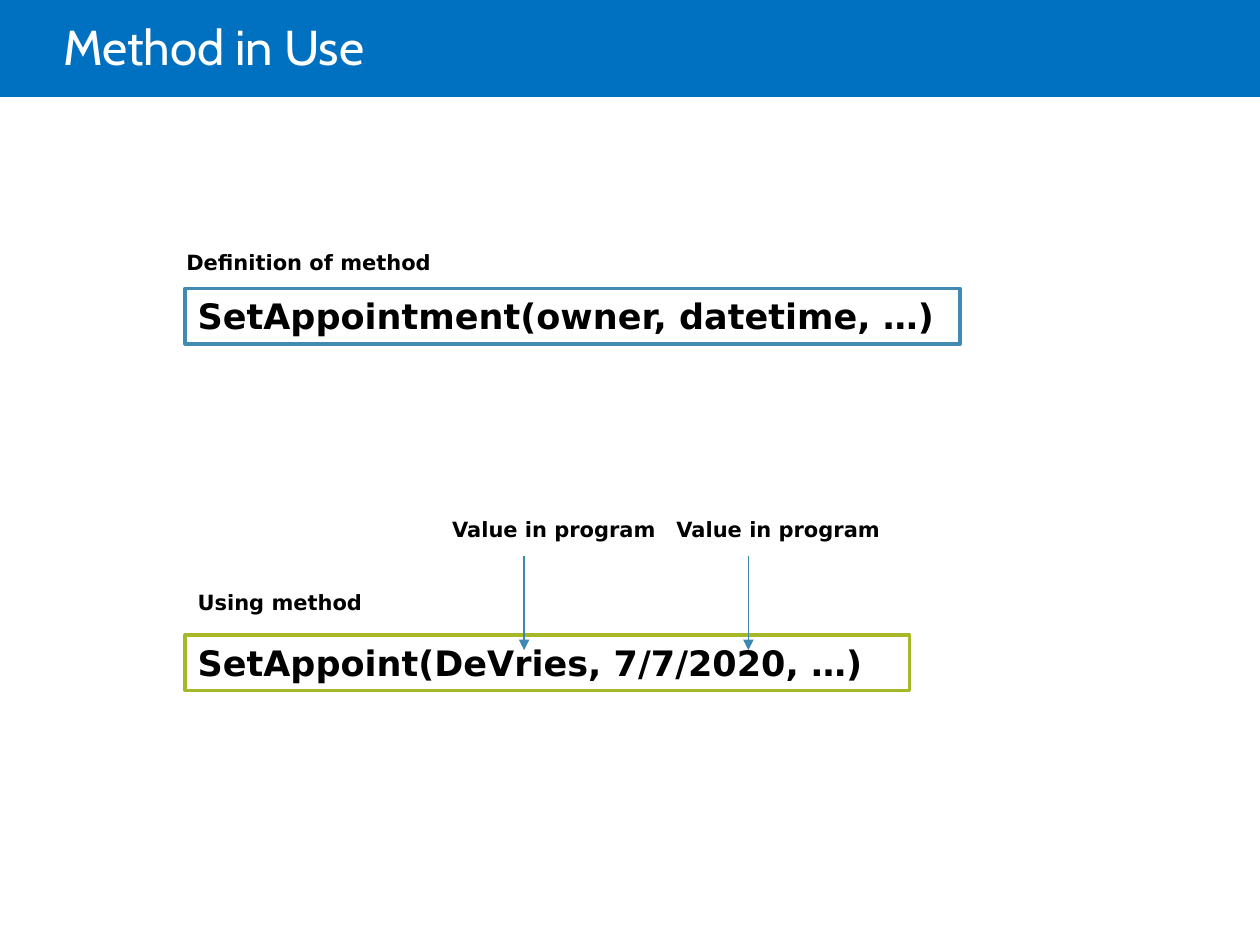
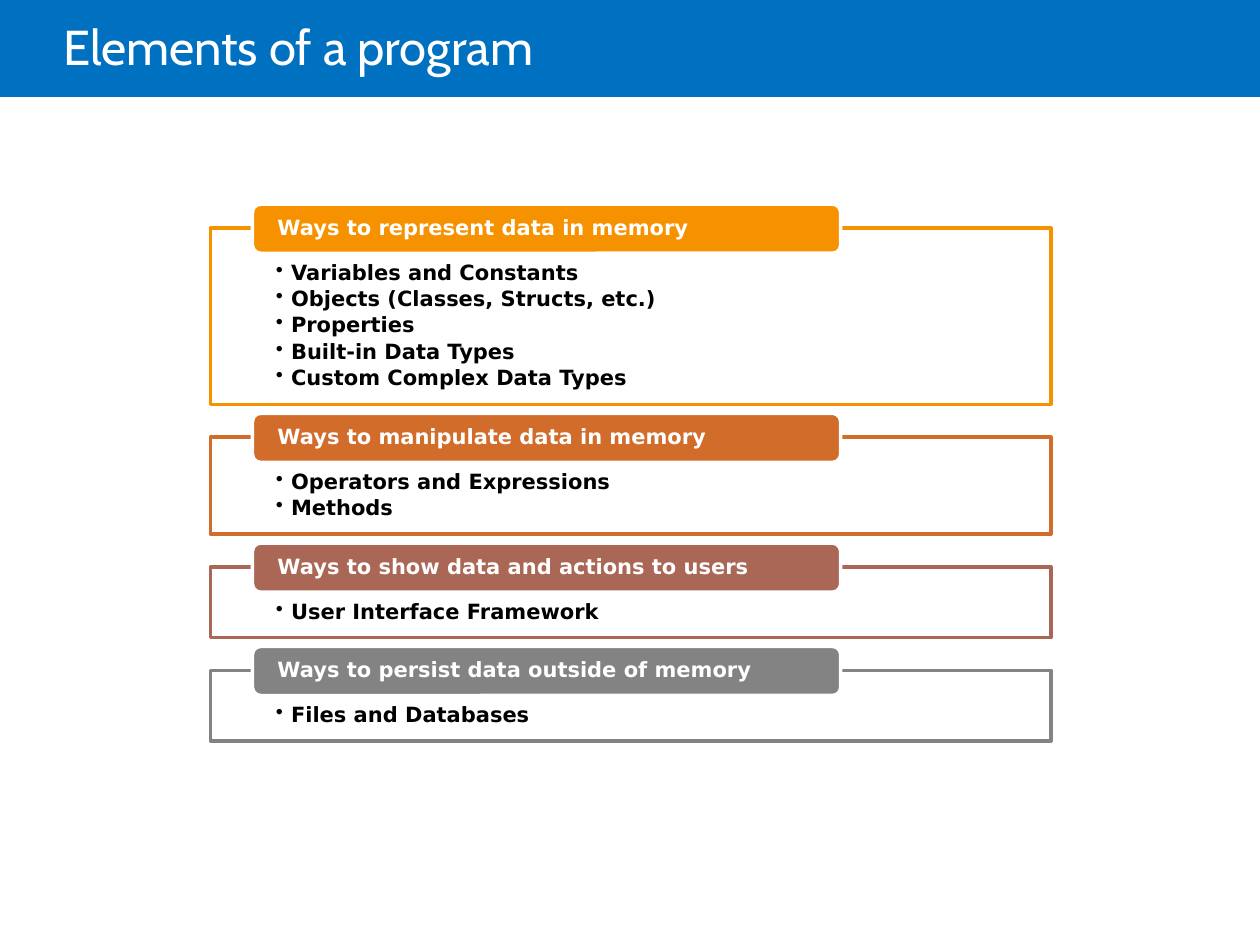
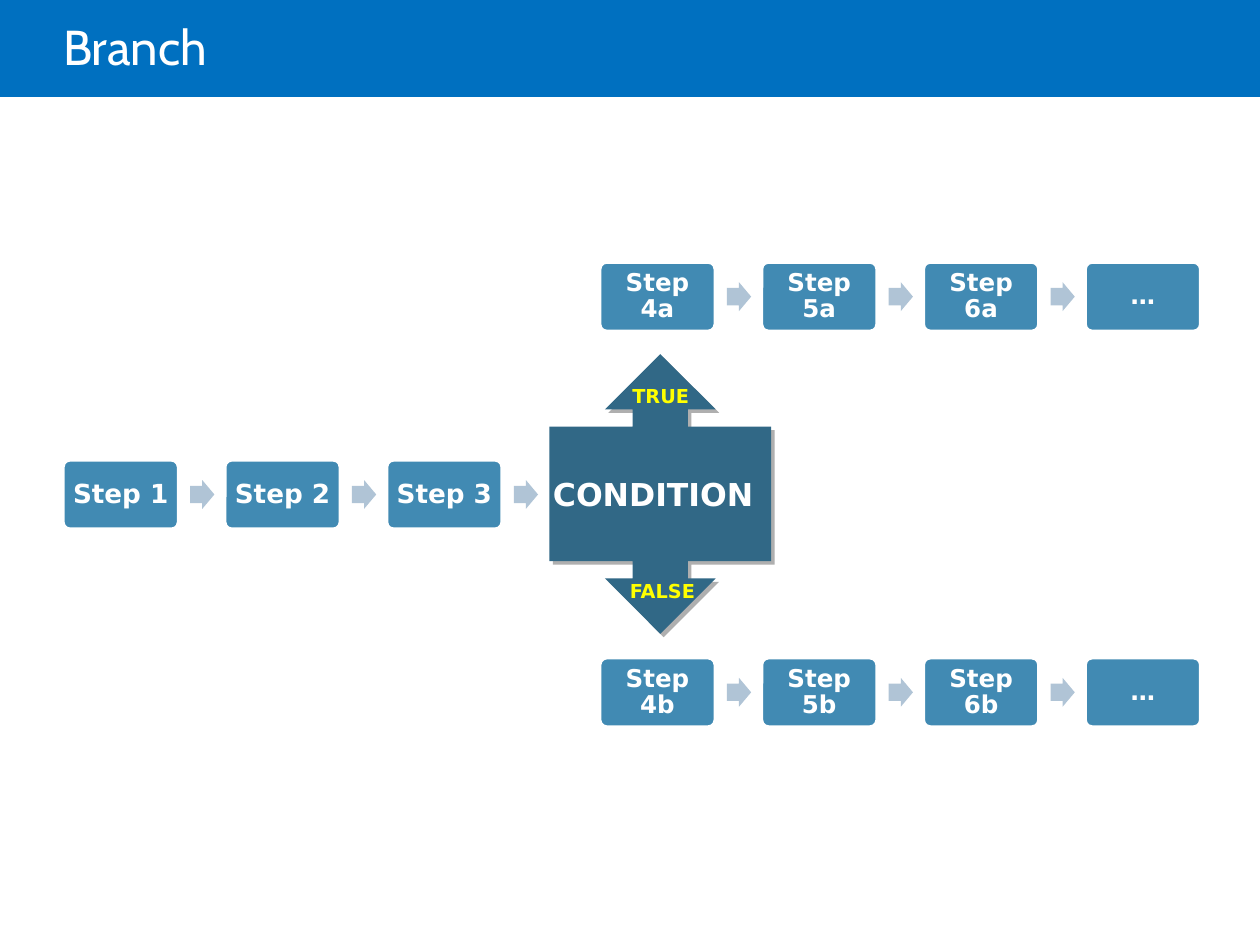
from typing import NamedTuple

from lxml.etree import SubElement
from pptx import Presentation
from pptx.dml.color import RGBColor
from pptx.enum.shapes import MSO_CONNECTOR, MSO_SHAPE
from pptx.enum.text import MSO_ANCHOR, MSO_AUTO_SIZE, PP_ALIGN
from pptx.oxml.ns import qn
from pptx.util import Inches, Pt

# The slide is a grid of 10 columns by 7.5 rows, one inch each.
COLUMNS, ROWS = 10, 7.5

TITLE_FONT, BODY_FONT = "Cabin", "DejaVu Sans"
WHITE = RGBColor(0xFF, 0xFF, 0xFF)
BLACK = RGBColor(0x00, 0x00, 0x00)
YELLOW = RGBColor(0xFF, 0xFF, 0x00)
BAND_BLUE = RGBColor(0x00, 0x70, 0xC0)
STEEL = RGBColor(0x41, 0x8A, 0xB3)
ARROW_LINE = RGBColor(0x3D, 0x88, 0xB2)
PALE_STEEL = RGBColor(0xB0, 0xC4, 0xD6)
DARK_STEEL = RGBColor(0x31, 0x68, 0x86)
GREEN = RGBColor(0xA6, 0xB7, 0x27)
ORANGE = RGBColor(0xF6, 0x92, 0x00)
RUST = RGBColor(0xD1, 0x6C, 0x2A)
BROWN = RGBColor(0xAB, 0x67, 0x56)
GRAY = RGBColor(0x83, 0x83, 0x83)
SHADOW_GRAY = "AFAFAF"

DEFAULT_INSETS = (0.1, 0.05, 0.1, 0.05)

ELEMENT_SECTIONS = [
    ("Ways to represent data in memory", ORANGE,
     ["Variables and Constants", "Objects (Classes, Structs, etc.)", "Properties",
      "Built-in Data Types", "Custom Complex Data Types"]),
    ("Ways to manipulate data in memory", RUST, ["Operators and Expressions", "Methods"]),
    ("Ways to show data and actions to users", BROWN, ["User Interface Framework"]),
    ("Ways to persist data outside of memory", GRAY, ["Files and Databases"]),
]


class Box(NamedTuple):
    left: float
    top: float
    width: float
    height: float

    def inner(self, left, top, width, height):
        """Return a box whose corner is measured from this one's."""
        return Box(self.left + left, self.top + top, width, height)

    def lengths(self):
        return [Inches(value) for value in self]


def add_preset(slide, preset, box, fill, line=None):
    shape = slide.shapes.add_shape(preset, *box.lengths())
    shape.shadow.inherit = False
    shape.fill.solid()
    shape.fill.fore_color.rgb = fill
    if line is None:
        shape.line.fill.background()
    else:
        shape.line.color.rgb = line
        shape.line.width = Pt(2)
    return shape


def add_bullet(paragraph):
    paragraph.level = 1
    properties = paragraph._p.get_or_add_pPr()
    properties.set("marL", str(Inches(0.12)))
    properties.set("indent", str(Inches(-0.12)))
    SubElement(properties, qn("a:buChar"), char="•")


def write(shape, lines, size, color, font=BODY_FONT, bold=True, align=PP_ALIGN.LEFT,
          anchor=MSO_ANCHOR.TOP, insets=DEFAULT_INSETS, spacing=None, bulleted=False):
    frame = shape.text_frame
    frame.word_wrap = True
    frame.vertical_anchor = anchor
    (frame.margin_left, frame.margin_top,
     frame.margin_right, frame.margin_bottom) = [Inches(inset) for inset in insets]
    frame.text = "\n".join(lines)
    for paragraph in frame.paragraphs:
        paragraph.alignment = align
        if spacing:
            paragraph.line_spacing = spacing
        if bulleted:
            paragraph.space_after = Pt(2.1)
            add_bullet(paragraph)
        for run in paragraph.runs:
            run.font.name = font
            run.font.size = Pt(size)
            run.font.bold = bold
            run.font.color.rgb = color


def write_unwrapped(shape, text, size, color):
    write(shape, [text], size, color)
    shape.text_frame.word_wrap = False
    shape.text_frame.auto_size = MSO_AUTO_SIZE.SHAPE_TO_FIT_TEXT


def add_label(slide, box, text, size=12, color=BLACK):
    write_unwrapped(slide.shapes.add_textbox(*box.lengths()), text, size, color)


def add_down_arrow(slide, box):
    """Draw an arrow down the left edge of the box."""
    left, top, _, height = box.lengths()
    arrow = slide.shapes.add_connector(MSO_CONNECTOR.STRAIGHT, left, top, left, top + height)
    arrow.line.color.rgb = ARROW_LINE
    arrow.line.width = Pt(0.75)
    properties = arrow._element.spPr
    SubElement(properties.find(qn("a:ln")), qn("a:tailEnd"), type="triangle")
    SubElement(properties, qn("a:effectLst"))


def add_titled_slide(presentation, title):
    slide = presentation.slides.add_slide(presentation.slide_layouts[5])
    placeholder = slide.shapes.title
    (placeholder.left, placeholder.top,
     placeholder.width, placeholder.height) = Box(0.5, 0, 8.5, 0.81).lengths()
    write(placeholder, [title], 28, WHITE, font=TITLE_FONT, bold=False,
          anchor=MSO_ANCHOR.MIDDLE, insets=(0, 0.05, 0.1, 0.05), spacing=0.85)
    placeholder.text_frame.auto_size = MSO_AUTO_SIZE.NONE
    return slide


def move_band_to_layout(slide):
    """Draw the title band once, in the layout that all slides share."""
    band = add_preset(slide, MSO_SHAPE.RECTANGLE, Box(0, 0, COLUMNS, 0.77), BAND_BLUE)
    slide.slide_layout.shapes.element.insert(2, band.element)


def add_signature(slide, box, text, line):
    shape = add_preset(slide, MSO_SHAPE.RECTANGLE, box, WHITE, line)
    write_unwrapped(shape, text, 20, BLACK)


def add_method_definition(slide, box):
    add_signature(slide, box, "SetAppointment(owner, datetime, …)", STEEL)
    add_label(slide, box.inner(-0.09, -0.36, 2.15, 0.5), "Definition of method")


def add_method_use(slide, box):
    add_label(slide, box.inner(0, -0.41, 1.51, 0.5), "Using method")
    add_signature(slide, box, "SetAppoint(DeVries, 7/7/2020, …)", GREEN)
    for argument in range(2):
        value = box.inner(2.02 + 1.78 * argument, -0.99, 1.83, 0.3)
        add_down_arrow(slide, value.inner(0.67, 0.36, 0, 0.75))
        add_label(slide, value, "Value in program")


def add_section(slide, box, heading, color, items):
    frame = add_preset(slide, MSO_SHAPE.RECTANGLE, box, WHITE, color)
    write(frame, items, 12, BLACK, insets=(0.52, 0.27, 0.52, 0.09), spacing=0.9, bulleted=True)
    tab_box = box.inner(0.05 * box.width, -0.19, 0.7 * box.width, 0.39)
    tab = add_preset(slide, MSO_SHAPE.ROUNDED_RECTANGLE, tab_box, color, WHITE)
    write(tab, [heading], 12, WHITE, anchor=MSO_ANCHOR.MIDDLE,
          insets=(0.18, 0, 0.18, 0), spacing=0.9)


def add_sections(slide, box):
    top = 0
    for heading, color, items in ELEMENT_SECTIONS:
        height = 0.35 + 0.21 * len(items)
        add_section(slide, box.inner(0, top, box.width, height), heading, color, items)
        top += height + 0.26


def add_step(slide, box, text, size):
    step = add_preset(slide, MSO_SHAPE.ROUNDED_RECTANGLE, box, STEEL, WHITE)
    step.adjustments[0] = 0.1
    write(step, [text], size, WHITE, align=PP_ALIGN.CENTER, anchor=MSO_ANCHOR.MIDDLE,
          insets=(0.06,) * 4, spacing=0.9)


def add_lane(slide, box, steps, size, arrow_count=3):
    """Place up to four steps with gaps of 0.4 step widths and an arrow in each gap."""
    width = box.width / (4 + 3 * 0.4)
    arrow_height = 0.25 * width
    for index, text in enumerate(steps):
        cell = box.inner(1.4 * width * index, 0, width, box.height)
        add_step(slide, cell, text, size)
        if index < arrow_count:
            arrow_box = cell.inner(1.1 * width, (box.height - arrow_height) / 2,
                                   0.21 * width, arrow_height)
            arrow = add_preset(slide, MSO_SHAPE.RIGHT_ARROW, arrow_box, PALE_STEEL)
            arrow.adjustments[0] = 0.6


def add_hard_shadow(shape):
    effects = shape._element.spPr.find(qn("a:effectLst"))
    shadow = SubElement(effects, qn("a:outerShdw"), dist=str(Pt(2.8)),
                        dir=str(45 * 60000), algn="ctr", rotWithShape="0")
    SubElement(shadow, qn("a:srgbClr"), val=SHADOW_GRAY)


def add_condition(slide, box):
    """Fill the box with a callout that points up and down."""
    turn = (box.height - box.width) / 2
    callout = add_preset(slide, MSO_SHAPE.LEFT_RIGHT_ARROW_CALLOUT,
                         box.inner(-turn, turn, box.height, box.width), DARK_STEEL)
    callout.rotation = 90
    add_hard_shadow(callout)
    add_label(slide, box.inner(-0.07, 0.91, 1.9, 0.4), "CONDITION", 18, WHITE)
    add_label(slide, box.inner(0.56, 0.19, 0.66, 0.29), "TRUE", 11, YELLOW)
    add_label(slide, box.inner(0.54, 1.74, 0.73, 0.29), "FALSE", 11, YELLOW)


def build_method_slide(presentation):
    slide = add_titled_slide(presentation, "Method in Use")
    move_band_to_layout(slide)
    add_method_definition(slide, Box(1.47, 2.29, 6.15, 0.44))
    add_method_use(slide, Box(1.47, 5.04, 5.75, 0.44))


def build_elements_slide(presentation):
    slide = add_titled_slide(presentation, "Elements of a program")
    add_sections(slide, Box(1.67, 1.81, 6.67, 4.08))


def build_branch_slide(presentation):
    slide = add_titled_slide(presentation, "Branch")
    middle_lane = Box(0.5, 3.65, 4.77, 0.55)
    add_lane(slide, middle_lane, ["Step 1", "Step 2", "Step 3"], 15)
    for side, offset in (("a", -1.57), ("b", 1.57)):
        steps = [f"Step {number}{side}" for number in (4, 5, 6)] + ["…"]
        add_lane(slide, middle_lane.inner(4.26, offset, 4.77, 0.55), steps, 14)
    add_condition(slide, Box(4.36, 2.81, 1.76, 2.22))


def main():
    presentation = Presentation()
    presentation.slide_width = Inches(COLUMNS)
    presentation.slide_height = Inches(ROWS)
    build_method_slide(presentation)
    build_elements_slide(presentation)
    build_branch_slide(presentation)
    presentation.save("out.pptx")


if __name__ == "__main__":
    main()
